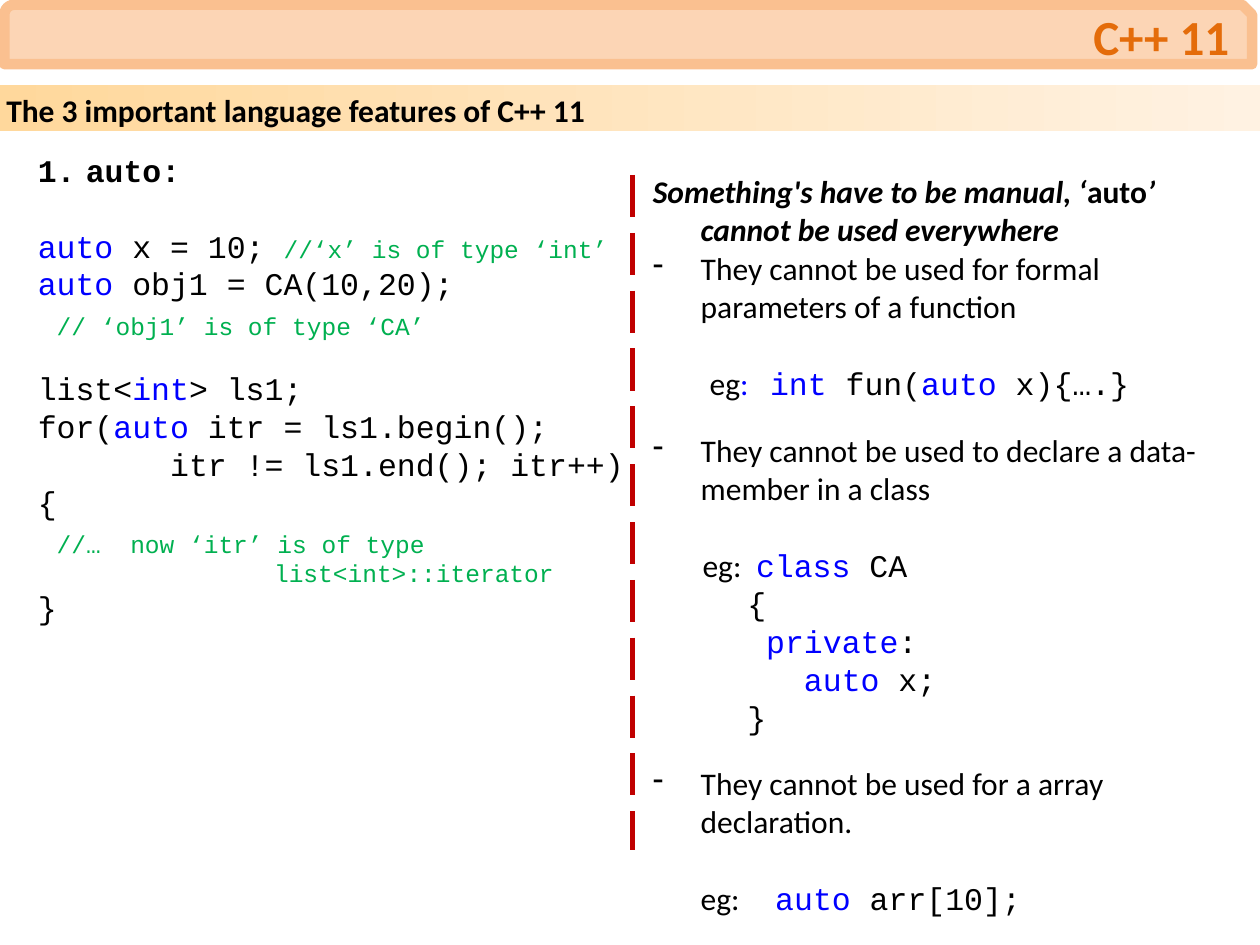
import pptx
import pptx.util
import pptx.dml.color
import pptx.enum.dml
import pptx.enum.shapes
import pptx.enum.text
import lxml.etree

Pt = pptx.util.Pt
SHAPE = pptx.enum.shapes.MSO_SHAPE
ANCHOR = pptx.enum.text.MSO_ANCHOR
ALIGN = pptx.enum.text.PP_ALIGN

THEME = {
    "text_font": "Calibri", "code_font": "Courier New",
    "title_size": 28, "body_size": 18, "note_size": 14,
    "black": "000000", "keyword": "0000FF", "comment": "00B050",
    "title": "E46C0A", "banner": "FCD5B5", "banner_line": "FAC090",
    "band_start": "FFD89C", "band_end": "FFF2E2", "divider": "C00000",
}

STYLES = {
    "title": ("text_font", "title_size", "title", True, False),
    "heading": ("text_font", "body_size", "black", True, False),
    "emphasis": ("text_font", "body_size", "black", True, True),
    "text": ("text_font", "body_size", "black", False, False),
    "text_keyword": ("text_font", "body_size", "keyword", False, False),
    "code": ("code_font", "body_size", "black", False, False),
    "code_heading": ("code_font", "body_size", "black", True, False),
    "keyword": ("code_font", "body_size", "keyword", False, False),
    "comment": ("code_font", "note_size", "comment", False, False),
}

HANG = 27.4
CHARACTER = 10.8
CODE_LINE, NOTE_LINE, TEXT_LINE = 21.6, 16.8, 22

# Each paragraph: runs, first-line start, wrapped-line start, line height, gap above, bullet
TITLE = [([("C++ 11", "title")], 0, 0, None, 0, None)]
SUBTITLE = [([("The 3 important language features of C++ 11", "heading")], 0, 0, None, 0, None)]


def code(runs, columns=0, gap=0, height=CODE_LINE):
    start = columns * CHARACTER
    return runs, start, start, height, gap, None


def point(text):
    return [(text, "text")], 0, HANG, TEXT_LINE, 16, "-"


def example(runs, label_start, code_start):
    return runs, label_start, code_start, TEXT_LINE, TEXT_LINE, None


AUTO_USAGE = [
    ([("auto:", "code_heading")], 0, HANG, CODE_LINE, 0, "1."),
    code([("auto", "keyword"), (" x = 10; ", "code"), ("//‘x’ is of type ‘int’", "comment")], gap=CODE_LINE),
    code([("auto", "keyword"), (" obj1 = CA(10,20);", "code")]),
    code([("// ‘obj1’ is of type ‘CA’", "comment")], 1),
    code([("list<", "code"), ("int", "keyword"), ("> ls1;", "code")], gap=NOTE_LINE),
    code([("for(", "code"), ("auto", "keyword"), (" itr = ls1.begin();", "code")]),
    code([("itr != ls1.end(); itr++)", "code")], 7),
    code([("{", "code")]),
    code([("//…  now ‘itr’ is of type", "comment")], 1),
    code([("list<int>::iterator", "comment")], 12.5, height=NOTE_LINE),
    code([("}", "code")]),
]

AUTO_LIMITS = [
    ([("Something's have to be manual, ‘", "emphasis"), ("auto", "heading"),
      ("’ cannot be used everywhere", "emphasis")], 0, HANG, TEXT_LINE, 0, None),
    ([("They cannot be used for formal parameters of a function", "text")], 0, HANG, TEXT_LINE, 0, "-"),
    example([("eg", "text"), (":\t", "text_keyword"), ("int ", "keyword"), ("fun(", "code"),
             ("auto", "keyword"), (" x){….}", "code")], 32.5, 67),
    point("They cannot be used to declare a data-member in a class"),
    example([("eg:\t", "text"), ("class", "keyword"), (" CA", "code")], 28.5, 59),
    code([("{", "code")], 5),
    code([("private", "keyword"), (":", "code")], 6),
    code([("auto", "keyword"), (" x;", "code")], 8),
    code([("}", "code")], 5),
    point("They cannot be used for a array declaration."),
    example([("eg:\t", "text"), ("auto", "keyword"), (" arr[10];", "code")], HANG, 70),
]


def color(name):
    return pptx.dml.color.RGBColor.from_string(THEME[name])


def add_bullet(properties, bullet):
    if bullet is None:
        tag, attributes = "a:buNone", {}
    elif bullet == "1.":
        tag, attributes = "a:buAutoNum", {"type": "arabicPeriod"}
    else:
        tag, attributes = "a:buChar", {"char": bullet}
    element = lxml.etree.SubElement(properties, pptx.oxml.ns.qn(tag))
    for name, value in attributes.items():
        element.set(name, value)


def write_text(shape, paragraphs, anchor=ANCHOR.TOP, align=ALIGN.LEFT):
    frame = shape.text_frame
    frame.word_wrap = True
    frame.vertical_anchor = anchor
    frame.margin_left = frame.margin_right = frame.margin_top = frame.margin_bottom = Pt(3.6)
    for index, (runs, first, rest, height, gap, bullet) in enumerate(paragraphs):
        paragraph = frame.add_paragraph() if index else frame.paragraphs[0]
        paragraph.alignment = align
        paragraph.space_before = Pt(gap)
        if height:
            paragraph.line_spacing = Pt(height)
        properties = paragraph._p.get_or_add_pPr()
        properties.set("marL", str(Pt(rest)))
        properties.set("indent", str(Pt(first - rest)))
        add_bullet(properties, bullet)
        for text, style in runs:
            family, size, fill, bold, italic = STYLES[style]
            run = paragraph.add_run()
            run.text = text
            run.font.name = THEME[family]
            run.font.size = Pt(THEME[size])
            run.font.color.rgb = color(fill)
            run.font.bold = bold
            run.font.italic = italic


def add_textbox(slide, box, paragraphs, **layout):
    write_text(slide.shapes.add_textbox(*map(Pt, box)), paragraphs, **layout)


def add_shape(slide, kind, box):
    shape = slide.shapes.add_shape(kind, *map(Pt, box))
    shape.shadow.inherit = False
    return shape


def add_divider(slide, x, top, bottom):
    line = slide.shapes.add_connector(
        pptx.enum.shapes.MSO_CONNECTOR.STRAIGHT, Pt(x), Pt(top), Pt(x), Pt(bottom))
    line.line.color.rgb = color("divider")
    line.line.width = Pt(3)
    line.line.dash_style = pptx.enum.dml.MSO_LINE.LONG_DASH
    lxml.etree.SubElement(line._element.spPr, pptx.oxml.ns.qn("a:effectLst"))


def main():
    presentation = pptx.Presentation()
    presentation.slide_width, presentation.slide_height = Pt(720), Pt(540)
    slide = presentation.slides.add_slide(presentation.slide_layouts[6])

    band = add_shape(slide, SHAPE.RECTANGLE, (0, 48.7, 720, 26.2))
    band.fill.gradient()
    band.fill.gradient_angle = 0
    for stop, name in zip(band.fill.gradient_stops, ("band_start", "band_end")):
        stop.color.rgb = color(name)
    band.line.fill.background()
    write_text(band, SUBTITLE)

    banner = add_shape(slide, SHAPE.SNIP_ROUND_RECTANGLE, (2.5, 2.7, 713, 34))
    banner.fill.solid()
    banner.fill.fore_color.rgb = color("banner")
    banner.line.color.rgb = color("banner_line")
    banner.line.width = Pt(6)

    add_textbox(slide, (10.8, 2.9, 695.2, 35.3), TITLE, anchor=ANCHOR.MIDDLE, align=ALIGN.RIGHT)
    add_textbox(slide, (18, 82.8, 344.2, 283), AUTO_USAGE)
    add_textbox(slide, (369.4, 94.3, 332.6, 444.2), AUTO_LIMITS)
    add_divider(slide, 361.4, 100, 485.5)
    presentation.save("out.pptx")


if __name__ == "__main__":
    main()
